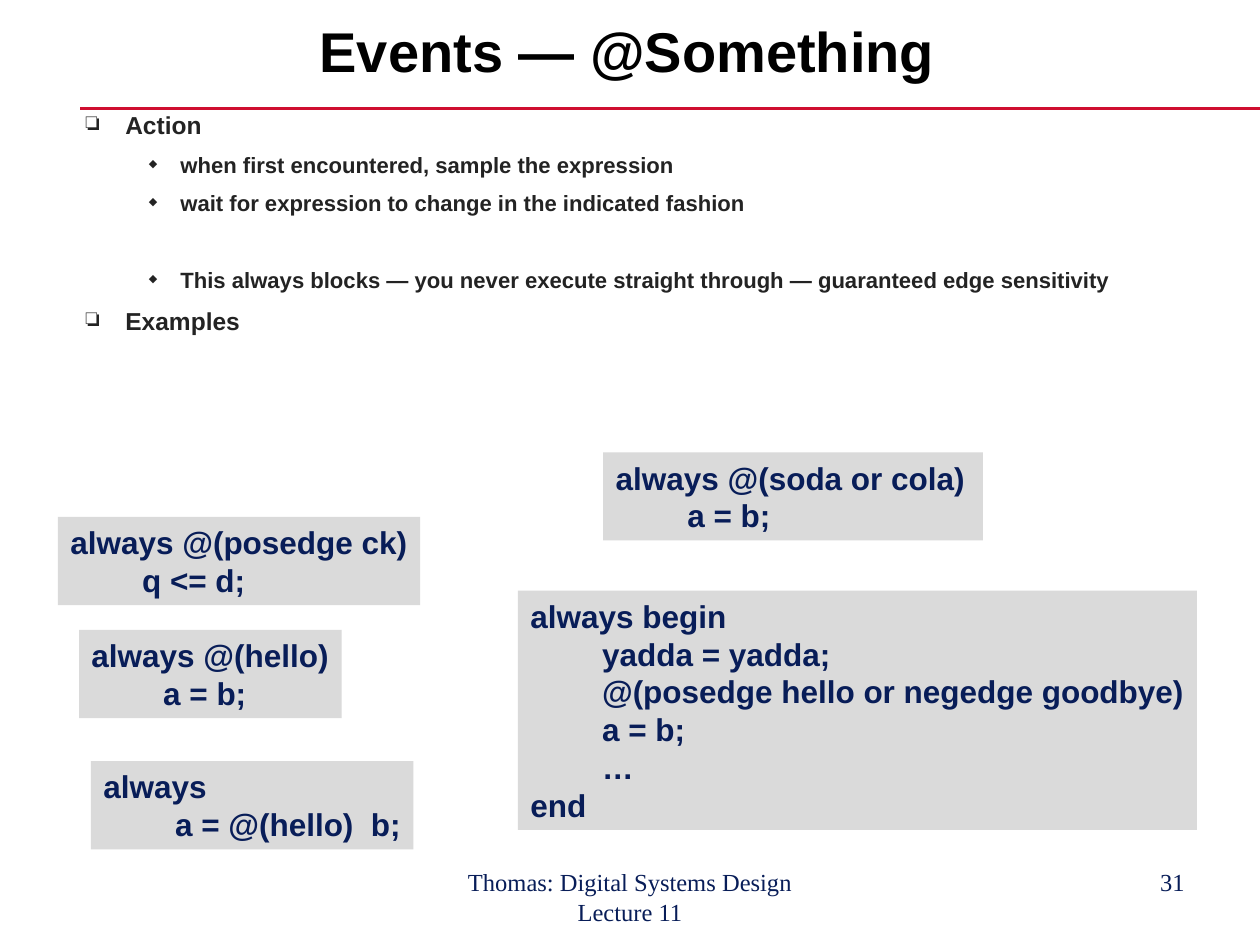
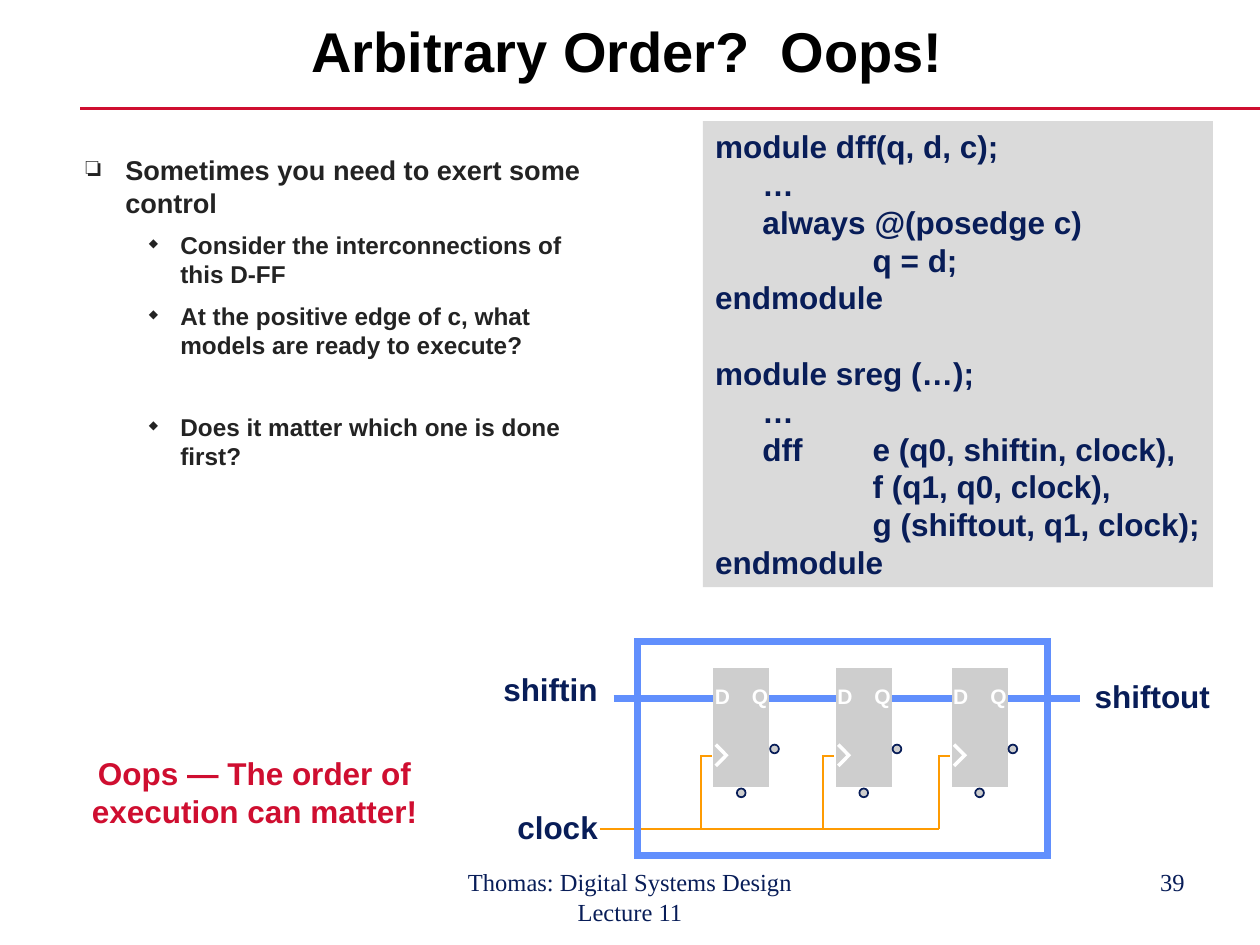
from dataclasses import dataclass
from typing import Any, NamedTuple

import pptx
import pptx.dml.color
import pptx.enum.shapes
import pptx.enum.text
import pptx.oxml.ns
import pptx.util
from lxml import etree

Pt = pptx.util.Pt
ALIGN = pptx.enum.text.PP_ALIGN
FIT = pptx.enum.text.MSO_AUTO_SIZE
ANCHOR = pptx.enum.text.MSO_ANCHOR
SHAPE = pptx.enum.shapes.MSO_SHAPE
qn = pptx.oxml.ns.qn

# Shared colours
BLACK, WHITE, INK, NAVY, RED = "000000", "FFFFFF", "232323", "081D58", "CF0E30"
CODE_FILL, CHIP_FILL, DATA_BLUE, CLOCK_ORANGE = "DADADA", "CECECE", "618FFD", "FE9B03"


class Box(NamedTuple):
    """Left, top, width and height in points."""
    left: float
    top: float
    width: float
    height: float


class Style(NamedTuple):
    size: float
    color: str
    bold: bool = True
    font: str = "Arial"


class Bullet(NamedTuple):
    char: str
    percent: int
    margin: float
    hanging: float
    space_before: float


@dataclass
class Item:
    text: str
    level: int = 0
    extra_before: float = 0


@dataclass
class CodeBlock:
    box: Box
    lines: list[str]
    tabs: tuple[float, ...] = (41,)
    gap_line: int = -1


TITLE = Style(32, BLACK)
CODE = Style(18, NAVY)
WARNING = Style(18, RED)
PIN = Style(12, WHITE)
FOOTER = Style(14, NAVY, False, "Times New Roman")
BULLETS = (Bullet("❏", 100, 22.5, 22.5, 7.5), Bullet("◆", 50, 54, 18, 6.8))
CODE_LINE = 21.6


# Formatting helpers
def rgb(color: str) -> pptx.dml.color.RGBColor:
    return pptx.dml.color.RGBColor.from_string(color)


def apply_format(target: Any, values: dict[str, Any]) -> None:
    for attribute, value in values.items():
        setattr(target, attribute, value)


def points(*lengths: float) -> list[pptx.util.Length]:
    return [Pt(length) for length in lengths]


def set_frame(frame: Any, **values: Any) -> None:
    apply_format(frame, {
        "margin_left": Pt(7.2), "margin_right": Pt(7.2),
        "margin_top": Pt(3.6), "margin_bottom": Pt(3.6),
        "vertical_anchor": ANCHOR.TOP, "word_wrap": True, "auto_size": FIT.NONE,
    } | values)


def write(frame: Any, texts: list[str], style: Style, **paragraph_format: Any) -> list[Any]:
    paragraphs = []
    for index, text in enumerate(texts):
        paragraph = frame.add_paragraph() if index else frame.paragraphs[0]
        apply_format(paragraph, {"alignment": ALIGN.LEFT} | paragraph_format)
        run = paragraph.add_run()
        run.text = text
        apply_format(run.font, {"name": style.font, "size": Pt(style.size), "bold": style.bold})
        run.font.color.rgb = rgb(style.color)
        paragraphs.append(paragraph)
    return paragraphs


def set_tabs(paragraph: Any, stops: tuple[float, ...]) -> None:
    tabs = etree.SubElement(paragraph._p.get_or_add_pPr(), qn("a:tabLst"))
    for stop in stops:
        etree.SubElement(tabs, qn("a:tab"), pos=str(Pt(stop)), algn="l")


def set_bullet(paragraph: Any, bullet: Bullet) -> None:
    properties = paragraph._p.get_or_add_pPr()
    properties.set("marL", str(Pt(bullet.margin)))
    properties.set("indent", str(-Pt(bullet.hanging)))
    color = etree.SubElement(properties, qn("a:buClr"))
    etree.SubElement(color, qn("a:srgbClr"), val=INK)
    etree.SubElement(properties, qn("a:buSzPct"), val=str(bullet.percent * 1000))
    etree.SubElement(properties, qn("a:buChar"), char=bullet.char)


# Drawing helpers
def paint(shape: Any, fill: str | None = None, line: str | None = None, width: float = 1) -> None:
    shape.shadow.inherit = False
    if fill:
        shape.fill.solid()
        shape.fill.fore_color.rgb = rgb(fill)
    else:
        shape.fill.background()
    if line:
        shape.line.color.rgb = rgb(line)
        shape.line.width = Pt(width)
        etree.SubElement(shape.line._get_or_add_ln(), qn("a:miter"), lim="800000")
    else:
        shape.line.fill.background()


def add_shape(slide: Any, kind: Any, box: Box, fill: str | None = None,
              line: str | None = None, width: float = 1) -> Any:
    shape = slide.shapes.add_shape(kind, *points(*box))
    paint(shape, fill, line, width)
    return shape


def add_line(slide: Any, ends: tuple[float, ...], color: str, width: float) -> None:
    line = slide.shapes.add_connector(pptx.enum.shapes.MSO_CONNECTOR.STRAIGHT, *points(*ends))
    line.line.color.rgb = rgb(color)
    line.line.width = Pt(width)
    etree.SubElement(line._element.spPr, qn("a:effectLst"))


def add_polyline(slide: Any, corners: list[tuple[float, float]], color: str, width: float) -> None:
    start, *rest = [tuple(points(*corner)) for corner in corners]
    builder = slide.shapes.build_freeform(*start)
    builder.add_line_segments(rest, close=False)
    paint(builder.convert_to_shape(), line=color, width=width)


def add_text(slide: Any, box: Box, text: str, style: Style,
             alignment: Any = ALIGN.LEFT, **frame_format: Any) -> None:
    frame = slide.shapes.add_textbox(*points(*box)).text_frame
    set_frame(frame, **frame_format)
    write(frame, [text], style, alignment=alignment)


def add_label(slide: Any, box: Box, text: str, style: Style) -> None:
    add_text(slide, box, text, style, word_wrap=False, auto_size=FIT.SHAPE_TO_FIT_TEXT)


def add_outline(slide: Any, box: Box, items: list[Item], sizes: tuple[float, float]) -> None:
    frame = slide.shapes.add_textbox(*points(*box)).text_frame
    set_frame(frame)
    paragraphs = write(frame, [item.text for item in items], Style(sizes[0], INK))
    for paragraph, item in zip(paragraphs, items):
        bullet = BULLETS[item.level]
        paragraph.level = item.level
        paragraph.space_before = Pt(bullet.space_before + item.extra_before)
        paragraph.runs[0].font.size = Pt(sizes[item.level])
        set_bullet(paragraph, bullet)


def add_code(slide: Any, block: CodeBlock) -> None:
    frame = add_shape(slide, SHAPE.RECTANGLE, block.box, CODE_FILL).text_frame
    set_frame(frame, word_wrap=False, auto_size=FIT.SHAPE_TO_FIT_TEXT)
    for index, paragraph in enumerate(write(frame, block.lines, CODE)):
        if index == block.gap_line:
            paragraph.space_before = Pt(CODE_LINE)
        set_tabs(paragraph, block.tabs)


# Title, rule and footer common to the slides
def add_lecture_slide(deck: Any, title: str, number: int) -> Any:
    slide = deck.slides.add_slide(deck.slide_layouts[5])
    add_line(slide, (46, 62, 720, 62), RED, 1.25)
    heading = slide.shapes.title
    apply_format(heading, dict(zip(("left", "top", "width", "height"),
                                   points(49, 13.4, 619, 36.7))))
    set_frame(heading.text_frame, vertical_anchor=ANCHOR.MIDDLE)
    write(heading.text_frame, [title], TITLE, alignment=ALIGN.CENTER, line_spacing=0.85)
    add_text(slide, Box(246, 492, 228, 37.5), "Thomas: Digital Systems Design Lecture 11",
             FOOTER, ALIGN.CENTER)
    add_text(slide, Box(516, 492, 168, 37.5), str(number), FOOTER, ALIGN.RIGHT)
    return slide


# Events slide
def build_events(deck: Any) -> None:
    slide = add_lecture_slide(deck, "Events — @Something", 31)
    add_outline(slide, Box(42, 59.3, 636, 150), [
        Item("Action"),
        Item("when first encountered, sample the expression", 1),
        Item("wait for expression to change in the indicated fashion", 1),
        Item("This always blocks — you never execute straight through — "
             "guaranteed edge sensitivity", 1, 21.8),
        Item("Examples"),
    ], (14, 12.6))
    examples = [
        CodeBlock(Box(33.1, 295.4, 207, 50.4), ["always @(posedge ck)", "\tq <= d;"]),
        CodeBlock(Box(45.2, 360, 150, 50.4), ["always @(hello)", "\ta = b;"]),
        CodeBlock(Box(344.7, 258.5, 217, 50.4), ["always @(soda or cola)", "\ta = b;"]),
        CodeBlock(Box(296, 337.5, 388, 136.8), [
            "always begin", "\tyadda = yadda;", "\t@(posedge hello or negedge goodbye)",
            "\ta = b;", "\t…", "end"]),
        CodeBlock(Box(52, 435, 184.3, 50.4), ["always", "\ta = @(hello)  b;"]),
    ]
    for example in examples:
        add_code(slide, example)


# Shift register drawing
FLIP_FLOP_LEFTS = (409.6, 479.6, 545.8)
FLIP_FLOP_TOP = 383.8
CLOCK_PIN_Y, CLOCK_BUS_Y = 432, 473.8


def add_flip_flop(slide: Any, left: float) -> None:
    top = FLIP_FLOP_TOP
    add_shape(slide, SHAPE.RECTANGLE, Box(left, top, 28, 64), CHIP_FILL, CHIP_FILL, 4)
    add_polyline(slide, [(left - 0.6, top + 41.7), (left + 5.4, top + 47.8),
                         (left - 0.6, top + 53.9)], WHITE, 2)
    for pin_x, pin_y in ((30.5, 41.7), (11.5, 66.8)):
        add_shape(slide, SHAPE.OVAL, Box(left + pin_x, top + pin_y, 5, 5), CHIP_FILL, NAVY)
    for text, offset in (("Q", 13), ("D", -8.2)):
        add_label(slide, Box(left + offset, top + 3.2, 24, 21.6), text, PIN)


def add_shift_register(slide: Any) -> None:
    add_line(slide, (350.6, 398.9, 617, 398.9), DATA_BLUE, 4)
    for left in FLIP_FLOP_LEFTS:
        add_polyline(slide, [(left - 3, CLOCK_PIN_Y), (left - 9.2, CLOCK_PIN_Y),
                             (left - 9.2, CLOCK_BUS_Y)], CLOCK_ORANGE, 1)
    add_line(slide, (342.7, CLOCK_BUS_Y, FLIP_FLOP_LEFTS[-1] - 9.2, CLOCK_BUS_Y),
             CLOCK_ORANGE, 1)
    add_shape(slide, SHAPE.RECTANGLE, Box(364.3, 366.5, 234.2, 122.2), None, DATA_BLUE, 4)
    for left in FLIP_FLOP_LEFTS:
        add_flip_flop(slide, left)
    for text, box in (("clock", Box(288.5, 458.2, 62, 28.8)),
                      ("shiftin", Box(280.5, 379.4, 70, 28.8)),
                      ("shiftout", Box(618.4, 383.4, 84, 28.8))):
        add_label(slide, box, text, CODE)


# Arbitrary order slide
def build_arbitrary_order(deck: Any) -> None:
    slide = add_lecture_slide(deck, "Arbitrary Order?  Oops!", 39)
    add_outline(slide, Box(42, 84.2, 302.4, 186), [
        Item("Sometimes you need to exert some control"),
        Item("Consider the interconnections of this D-FF", 1),
        Item("At the positive edge of c, what models are ready to execute?", 1),
        Item("Does it matter which one is done first?", 1, 23.4),
    ], (15.5, 13.9))
    add_code(slide, CodeBlock(Box(401.6, 69.2, 291.5, 266.4), [
        "module dff(q, d, c);", "\t…", "\talways @(posedge c)", "\t\tq = d;", "endmodule",
        "module sreg (…);", "\t…", "\tdff\te (q0, shiftin, clock),",
        "\t\tf (q1, q0, clock),", "\t\tg (shiftout, q1, clock);", "endmodule",
    ], tabs=(27, 90), gap_line=5))
    add_shift_register(slide)
    add_text(slide, Box(36, 427.6, 219, 50.4), "Oops — The order of execution can matter!",
             WARNING, ALIGN.CENTER, auto_size=FIT.SHAPE_TO_FIT_TEXT)


def main() -> None:
    deck = pptx.Presentation()
    apply_format(deck, {"slide_width": Pt(720), "slide_height": Pt(540)})
    build_events(deck)
    build_arbitrary_order(deck)
    deck.save("out.pptx")


if __name__ == "__main__":
    main()
